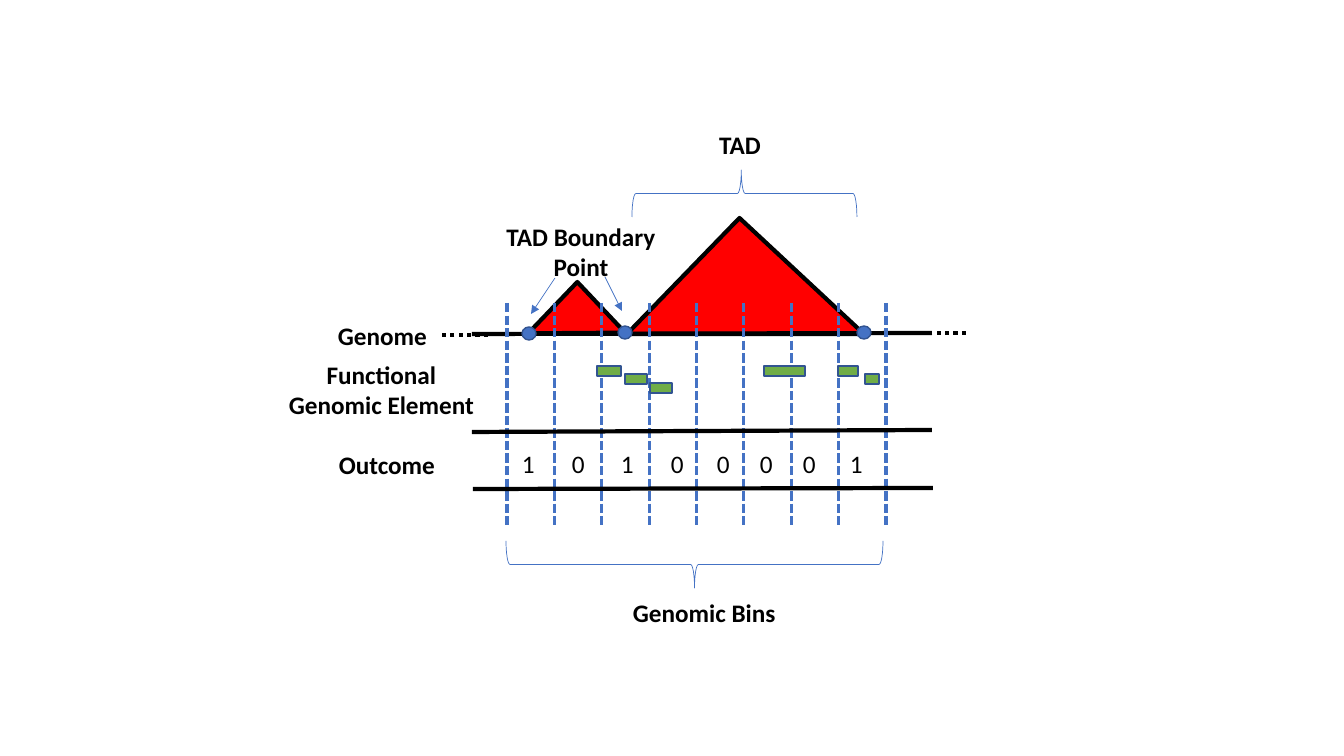
from lxml.etree import SubElement
from pptx import Presentation
from pptx.dml.color import RGBColor
from pptx.enum.dml import MSO_LINE
from pptx.enum.shapes import MSO_CONNECTOR, MSO_SHAPE
from pptx.enum.text import PP_ALIGN
from pptx.oxml.ns import qn
from pptx.util import Pt

BLACK = RGBColor(0, 0, 0)
RED = RGBColor(0xFF, 0, 0)
BLUE = RGBColor(0x44, 0x72, 0xC4)
NAVY = RGBColor(0x32, 0x54, 0x91)
GREEN = RGBColor(0x70, 0xAD, 0x47)

EMU_PER_PX = 914400 / 100.8
SLIDE_SIZE = (1344, 756)
FONT = {"name": "Calibri", "size": Pt(18)}

TAD_TRIANGLES = [((627, 218, 237, 116), 0.475, 0), ((528, 282, 97, 51), 0.511, -0.4)]
GENOME_LINE = (472, 334, 932, 333)
GENOME_ENDS = [(488, 335, 442, 335), (966, 333, 919, 333)]
BOUNDARY_POINTS = [(618, 326), (857, 326), (522, 327)]
BOUNDARY_ARROWS = [(605, 277, 622, 311), (555, 278, 531, 314)]
BRACES = [((721, 81, 47, 225), 0.486, 270), ((671, 376, 47, 377), 0.5, 90)]
OUTCOME_RULES = [(472, 432, 932, 430), (473, 489, 933, 488)]
ELEMENTS = [(625, 374, 22), (650, 383, 22), (597, 366, 24),
            (764, 366, 41), (838, 366, 20), (865, 374, 14)]
OUTCOMES = [("1", 512), ("0", 562), ("1", 611), ("0", 661),
            ("0", 707), ("0", 750), ("0", 793), ("1", 840)]
LABELS = [
    (["Functional Genomic Element"], (278, 354, 207, 72), PP_ALIGN.CENTER),
    (["TAD"], (640, 124, 200, 40), PP_ALIGN.CENTER),
    (["TAD Boundary", "Point"], (481, 216, 200, 72), PP_ALIGN.CENTER),
    (["Genome"], (328, 315, 114, 40), PP_ALIGN.LEFT),
    (["Outcome"], (329, 444, 120, 40), PP_ALIGN.LEFT),
    (["Genomic Bins"], (623, 592, 183, 40), PP_ALIGN.LEFT),
]
BIN_COUNT, BINS_LEFT, BINS_RIGHT, BINS_TOP, BINS_BOTTOM = 8, 507, 886, 303, 525


def emu(lengths):
    """Turn px lengths into EMU."""
    return [round(length * EMU_PER_PX) for length in lengths]


def add_figure(slide, kind, box, fill, line, width, rotation=0, adjustments=()):
    """Add one preset shape."""
    shape = slide.shapes.add_shape(kind, *emu(box))
    shape.shadow.inherit = False
    shape.rotation = rotation
    for index, value in enumerate(adjustments):
        shape.adjustments[index] = value
    if fill is None:
        shape.fill.background()
    else:
        shape.fill.solid()
        shape.fill.fore_color.rgb = fill
    shape.line.color.rgb = line
    shape.line.width = Pt(width)


def add_line(slide, ends, color, width, dash=None, arrow=False):
    """Add one straight line, optionally dashed or with an arrowhead."""
    connector = slide.shapes.add_connector(MSO_CONNECTOR.STRAIGHT, *emu(ends))
    connector.line.color.rgb = color
    connector.line.width = Pt(width)
    if dash is not None:
        connector.line.dash_style = dash
    properties = connector._element.spPr
    if arrow:
        SubElement(properties.find(qn("a:ln")), qn("a:tailEnd"), type="triangle")
    SubElement(properties, qn("a:effectLst"))


def add_label(slide, lines, box, alignment=PP_ALIGN.LEFT, bold=True):
    """Add a text box with one paragraph per line."""
    frame = slide.shapes.add_textbox(*emu(box)).text_frame
    frame.word_wrap = True
    frame.text = "\n".join(lines)
    for paragraph in frame.paragraphs:
        paragraph.alignment = alignment
        paragraph.font.color.rgb = BLACK
        for name, value in {**FONT, "bold": bold}.items():
            setattr(paragraph.font, name, value)


def main():
    """Build the diagram of genomic bins and TAD boundaries."""
    presentation = Presentation()
    presentation.slide_width, presentation.slide_height = emu(SLIDE_SIZE)
    slide = presentation.slides.add_slide(presentation.slide_layouts[6])

    for box, apex, rotation in TAD_TRIANGLES:
        add_figure(slide, MSO_SHAPE.ISOSCELES_TRIANGLE, box, RED, BLACK, 3, rotation, [apex])
    add_line(slide, GENOME_LINE, BLACK, 3)
    for left, top in BOUNDARY_POINTS:
        add_figure(slide, MSO_SHAPE.FLOWCHART_CONNECTOR, (left, top, 14, 13), BLUE, NAVY, 1)
    for box, middle, rotation in BRACES:
        add_figure(slide, MSO_SHAPE.RIGHT_BRACE, box, None, BLUE, 0.5, rotation, [0.083, middle])
    for ends in BOUNDARY_ARROWS:
        add_line(slide, ends, BLUE, 0.5, arrow=True)

    bin_width = (BINS_RIGHT - BINS_LEFT) / BIN_COUNT
    for index in range(BIN_COUNT + 1):
        x = BINS_LEFT + index * bin_width
        add_line(slide, (x, BINS_TOP, x, BINS_BOTTOM), BLUE, 2.25, MSO_LINE.SQUARE_DOT)
    for ends in GENOME_ENDS:
        add_line(slide, ends, BLACK, 3, MSO_LINE.ROUND_DOT)
    for left, top, width in ELEMENTS:
        add_figure(slide, MSO_SHAPE.RECTANGLE, (left, top, width, 10), GREEN, NAVY, 1)
    for ends in OUTCOME_RULES:
        add_line(slide, ends, BLACK, 3)

    for digit, left in OUTCOMES:
        add_label(slide, [digit], (left, 443, 39, 35), bold=False)
    for lines, box, alignment in LABELS:
        add_label(slide, lines, box, alignment)
    presentation.save("out.pptx")


if __name__ == "__main__":
    main()
